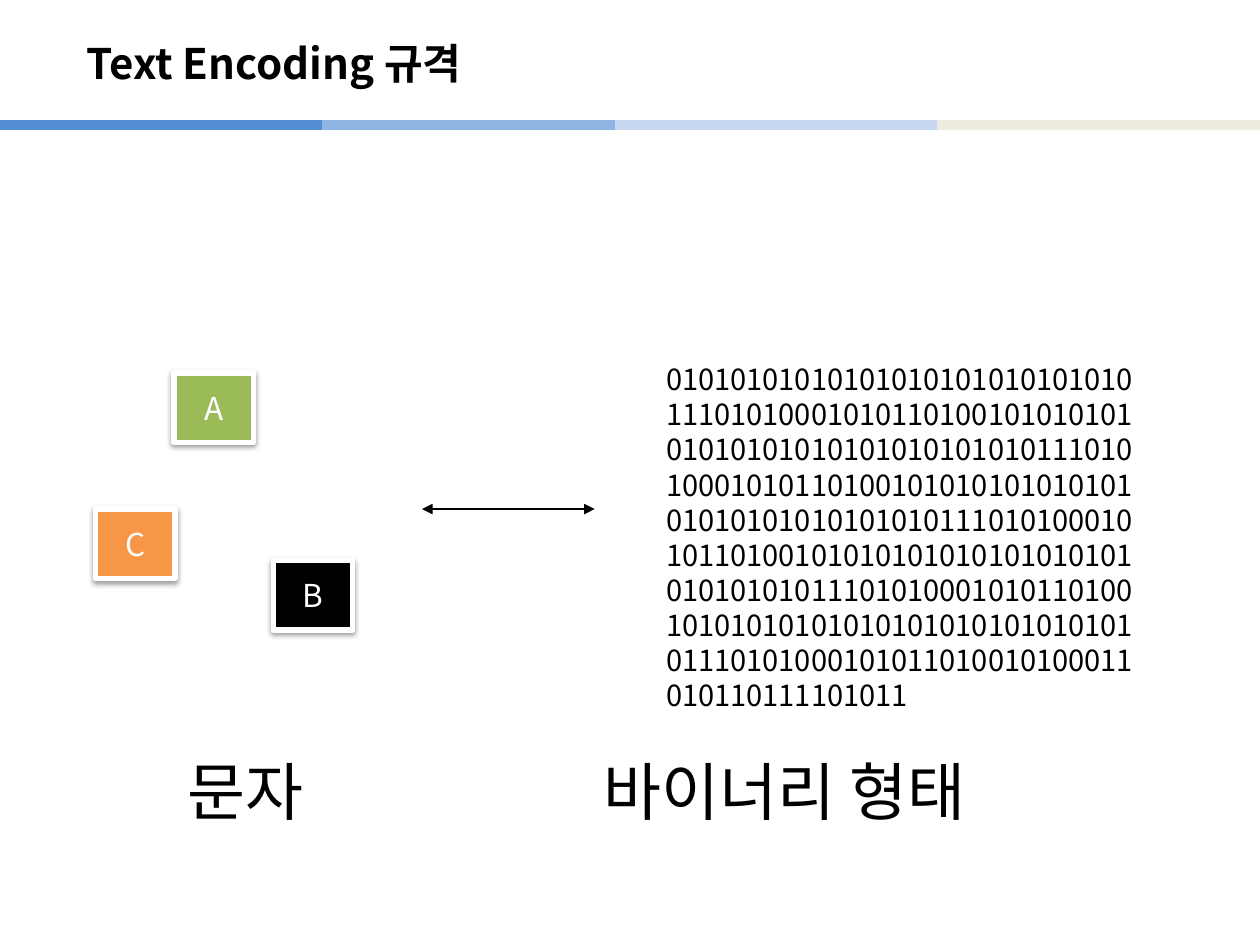
from lxml.etree import SubElement
from pptx import Presentation
from pptx.dml.color import RGBColor
from pptx.enum.shapes import MSO_CONNECTOR, MSO_SHAPE
from pptx.enum.text import MSO_ANCHOR, PP_ALIGN
from pptx.oxml.ns import qn
from pptx.util import Pt

# Content
TITLE = "Text Encoding 규격"
LABELS = "문자\t바이너리 형태"
BITS = (
    "0101010101010101010101010101011101010001010110100101010101010101010101010101010101"
    "1101010001010110100101010101010101010101010101010101110101000101011010010101010101"
    "0101010101010101010111010100010101101001010101010101010101010101010101110101000101"
    "011010010100011010110111101011"
)
TILES = [  # letter, left, top, colour
    ("A", 99.4, 213.1, "green"),
    ("B", 156.2, 320.4, "black"),
    ("C", 54.7, 290.9, "orange"),
]
BANDS = [(167, "mid"), (351.4, "light"), (535.7, "cream"), (0, "deep")]

THEME = {
    "font": "Noto Sans CJK KR",
    "size": {"title": 24, "tile": 18, "bits": 16.6, "label": 36},
    "color": {
        "black": "000000", "white": "FFFFFF", "green": "9BBB59",
        "orange": "F79646", "deep": "558ED5", "mid": "8EB4E3",
        "light": "C6D9F1", "cream": "EEECE1",
    },
}


def color(name):
    return RGBColor.from_string(THEME["color"][name])


def write(shape, text, role, tint="black", bold=False):
    frame = shape.text_frame
    frame.word_wrap = True
    frame.vertical_anchor = MSO_ANCHOR.MIDDLE
    para = frame.paragraphs[0]
    para.text = text
    font = para.font
    font.name, font.size, font.bold = THEME["font"], Pt(THEME["size"][role]), bold
    font.color.rgb = color(tint)
    # East Asian glyphs take the same face
    SubElement(para.runs[0].font._element, qn("a:ea"), typeface=THEME["font"])
    return para


def box(slide, area, text, role, bold=False):
    shape = slide.shapes.add_textbox(*map(Pt, area))
    return shape, write(shape, text, role, bold=bold)


def line(slide, left, right, top, tint, width):
    rule = slide.shapes.add_connector(
        MSO_CONNECTOR.STRAIGHT, Pt(left), Pt(top), Pt(right), Pt(top))
    rule.line.color.rgb = color(tint)
    rule.line.width = Pt(width)
    SubElement(rule._element.spPr, qn("a:effectLst"))
    return rule


def tile(slide, text, left, top, tint):
    shape = slide.shapes.add_shape(
        MSO_SHAPE.RECTANGLE, Pt(left), Pt(top), Pt(45.4), Pt(39.6))
    shape.fill.solid()
    shape.fill.fore_color.rgb = color(tint)
    shape.line.color.rgb = color("white")
    shape.line.width = Pt(3)
    write(shape, text, "tile", "white").alignment = PP_ALIGN.CENTER
    # Soft shadow straight below
    shape.shadow.inherit = False
    effects = shape._element.spPr.find(qn("a:effectLst"))
    shade = SubElement(effects, qn("a:outerShdw"), blurRad=str(Pt(3.1)),
                       dist=str(Pt(1.6)), dir="5400000", rotWithShape="0")
    black = SubElement(shade, qn("a:srgbClr"), val=THEME["color"]["black"])
    SubElement(black, qn("a:alpha"), val="38000")


def main():
    deck = Presentation()
    deck.slide_width, deck.slide_height = Pt(720), Pt(540)
    slide = deck.slides.add_slide(deck.slide_layouts[6])

    # Header
    for left, tint in BANDS:
        line(slide, left, left + 184.3, 71.3, tint, 6)
    box(slide, (42.5, 14.4, 595.4, 43.2), TITLE, "title", bold=True)

    # Characters
    for item in TILES:
        tile(slide, *item)

    # Two-way arrow
    arrow = line(slide, 241.2, 339.8, 290.9, "black", 0.75)
    for end in ("a:headEnd", "a:tailEnd"):
        SubElement(arrow.line._get_or_add_ln(), qn(end), type="triangle")

    # Binary digits
    shape, para = box(slide, (373.7, 213.1, 283.7, 203.8), BITS, "bits")
    shape.text_frame.margin_bottom = Pt(20)
    para.line_spacing = Pt(20)

    # Captions, the second one on a tab stop
    shape, para = box(slide, (100.1, 411.8, 548.6, 79.2), LABELS, "label")
    stops = SubElement(para._p.get_or_add_pPr(), qn("a:tabLst"))
    SubElement(stops, qn("a:tab"), pos=str(Pt(237.5)), algn="l")
    props = stops.getparent()
    props.insert(0, stops)

    deck.save("out.pptx")


if __name__ == "__main__":
    main()
